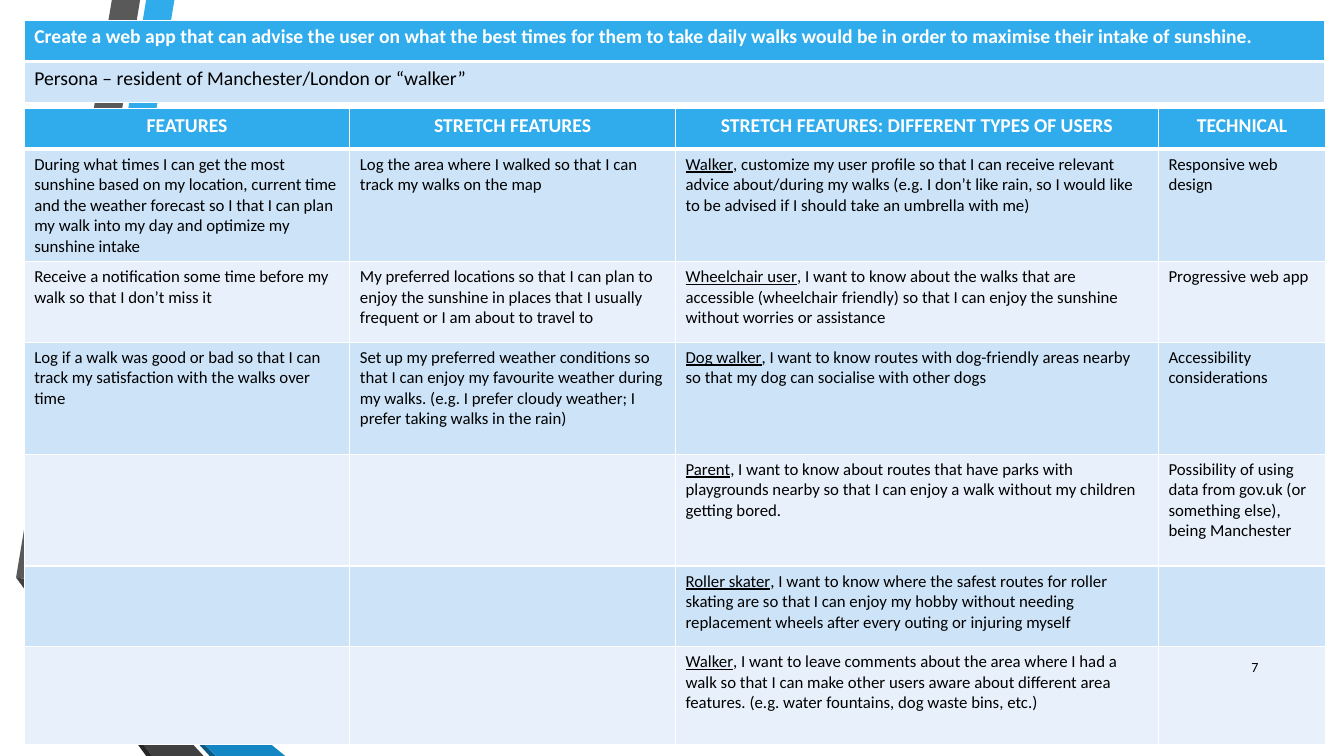
from lxml import etree
from pptx import Presentation
from pptx.dml.color import RGBColor
from pptx.enum.text import MSO_ANCHOR, PP_ALIGN
from pptx.oxml.ns import qn
from pptx.util import Inches, Pt

CENTER, RIGHT = PP_ALIGN.CENTER, PP_ALIGN.RIGHT
MIDDLE = MSO_ANCHOR.MIDDLE
FONT = "Calibri"
BLUE, WHITE, BLACK = "30ACEC", "FFFFFF", "000000"
BANDS = ["CDE3F8", "E8F1FB"]
SLIDE_W, SLIDE_H = 13.33, 7.5

# Content
BRIEF = [
    ["Create a web app that can advise the user on what the best times for them to take daily walks "
     "would be in order to maximise their intake of sunshine."],
    ["Persona – resident of Manchester/London or “walker”"],
]
STORIES = [
    ["FEATURES", "STRETCH FEATURES", "STRETCH FEATURES: DIFFERENT TYPES OF USERS", "TECHNICAL"],
    ["During what times I can get the most sunshine based on my location, current time and the weather "
     "forecast so I that I can plan my walk into my day and optimize my sunshine intake",
     "Log the area where I walked so that I can track my walks on the map",
     ("Walker", ", customize my user profile so that I can receive relevant advice about/during my walks "
      "(e.g. I don’t like rain, so I would like to be advised if I should take an umbrella with me)"),
     "Responsive web design"],
    ["Receive a notification some time before my walk so that I don’t miss it",
     "My preferred locations so that I can plan to enjoy the sunshine in places that I usually frequent "
     "or I am about to travel to",
     ("Wheelchair user", ", I want to know about the walks that are accessible (wheelchair friendly) "
      "so that I can enjoy the sunshine without worries or assistance"),
     "Progressive web app"],
    ["Log if a walk was good or bad so that I can track my satisfaction with the walks over time",
     "Set up my preferred weather conditions so that I can enjoy my favourite weather during my walks. "
     "(e.g. I prefer cloudy weather; I prefer taking walks in the rain)",
     ("Dog walker", ", I want to know routes with dog-friendly areas nearby so that my dog can "
      "socialise with other dogs"),
     "Accessibility considerations"],
    ["", "",
     ("Parent", ", I want to know about routes that have parks with playgrounds nearby so that I can "
      "enjoy a walk without my children getting bored."),
     "Possibility of using data from gov.uk (or something else), being Manchester"],
    ["", "",
     ("Roller skater", ", I want to know where the safest routes for roller skating are so that I can "
      "enjoy my hobby without needing replacement wheels after every outing or injuring myself"),
     ""],
    ["", "",
     ("Walker", ", I want to leave comments about the area where I had a walk so that I can make other "
      "users aware about different area features. (e.g. water fountains, dog waste bins, etc.)"),
     ""],
]
PAGE_NUMBER = "7"

# Folded ribbons: colour and corners in inches
RIBBONS = [
    (BLUE, [(0.5, 5.78), (0.77, 5.83), (1.73, 0), (1.45, 0)]),
    ("595959", [(1.39, 0), (1.11, 0), (0.16, 5.73), (0.44, 5.77)]),
    ("262626", [(0.16, 5.73), (1.45, 7.5), (1.51, 7.5)]),
    ("0C5A82", [(0.5, 5.79), (2.08, 7.5), (2.14, 7.5)]),
    ("1287C3", [(0.5, 5.79), (2.14, 7.5), (2.83, 7.5), (0.77, 5.83), (0.5, 5.78)]),
    ("404040", [(2.02, 7.5), (0.48, 5.83), (0.43, 5.77), (0.16, 5.73), (1.51, 7.5)]),
]

# Layout
LEFT = 0.24
BRIEF_TOP, BRIEF_ROWS, BRIEF_COLS = 0.2, [0.41, 0.41], [12.9]
STORY_TOP, STORY_COLS = 1.08, [3.23, 3.23, 4.79, 1.66]
STORY_ROWS = [0.4, 1.11, 0.8, 1.11, 1.11, 0.8, 0.97]


def rgb(value):
    return RGBColor.from_string(value)


def style(run, size, color, bold=False, underline=False):
    font = run.font
    font.name, font.size, font.bold, font.underline = FONT, Pt(size), bold, underline
    font.color.rgb = rgb(color)


def add_borders(cell, top, bottom):
    props = cell._tc.get_or_add_tcPr()
    for place, (side, width) in enumerate([("L", 1), ("R", 1), ("T", top), ("B", bottom)]):
        line = etree.Element(qn(f"a:ln{side}"), w=str(Pt(width)))
        fill = etree.SubElement(line, qn("a:solidFill"))
        etree.SubElement(fill, qn("a:srgbClr"), val=WHITE)
        props.insert(place, line)


def add_grid(slide, content, top, widths, heights, body_size, header_align=None):
    table = slide.shapes.add_table(
        len(heights), len(widths), Inches(LEFT), Inches(top),
        Inches(sum(widths)), Inches(sum(heights))).table
    for column, width in zip(table.columns, widths):
        column.width = Inches(width)
    for r, (entries, height) in enumerate(zip(content, heights)):
        table.rows[r].height = Inches(height)
        header = r == 0
        for c, entry in enumerate(entries):
            cell = table.cell(r, c)
            cell.fill.solid()
            cell.fill.fore_color.rgb = rgb(BLUE if header else BANDS[(r - 1) % 2])
            add_borders(cell, top=3 if r == 1 else 1, bottom=3 if header else 1)
            paragraph = cell.text_frame.paragraphs[0]
            if header:
                paragraph.alignment = header_align
            # A pair is an underlined user type and the rest of the story
            parts = entry if isinstance(entry, tuple) else (entry,)
            for i, part in enumerate(parts):
                if part:
                    run = paragraph.add_run()
                    run.text = part
                    style(run, 14 if header else body_size, WHITE if header else BLACK,
                          bold=header, underline=len(parts) == 2 and i == 0)


def add_ribbon(slide, color, corners):
    points = [(round(x * 100), round(y * 100)) for x, y in corners]
    builder = slide.shapes.build_freeform(*points[0], scale=Inches(1) / 100)
    builder.add_line_segments(points[1:], close=True)
    ribbon = builder.convert_to_shape()
    ribbon.shadow.inherit = False
    ribbon.fill.solid()
    ribbon.fill.fore_color.rgb = rgb(color)
    ribbon.line.fill.background()


def main():
    deck = Presentation()
    deck.slide_width, deck.slide_height = Inches(SLIDE_W), Inches(SLIDE_H)
    slide = deck.slides.add_slide(deck.slide_layouts[6])

    for color, corners in RIBBONS:
        add_ribbon(slide, color, corners)

    add_grid(slide, STORIES, STORY_TOP, STORY_COLS, STORY_ROWS, 12, CENTER)
    add_grid(slide, BRIEF, BRIEF_TOP, BRIEF_COLS, BRIEF_ROWS, 14)

    # Page number
    number = slide.shapes.add_textbox(Inches(11.98), Inches(6.42), Inches(0.6), Inches(0.4))
    frame = number.text_frame
    frame.word_wrap = True
    frame.vertical_anchor = MIDDLE
    frame.text = PAGE_NUMBER
    frame.paragraphs[0].alignment = RIGHT
    style(frame.paragraphs[0].runs[0], 10, BLACK)

    deck.save("out.pptx")


if __name__ == "__main__":
    main()
